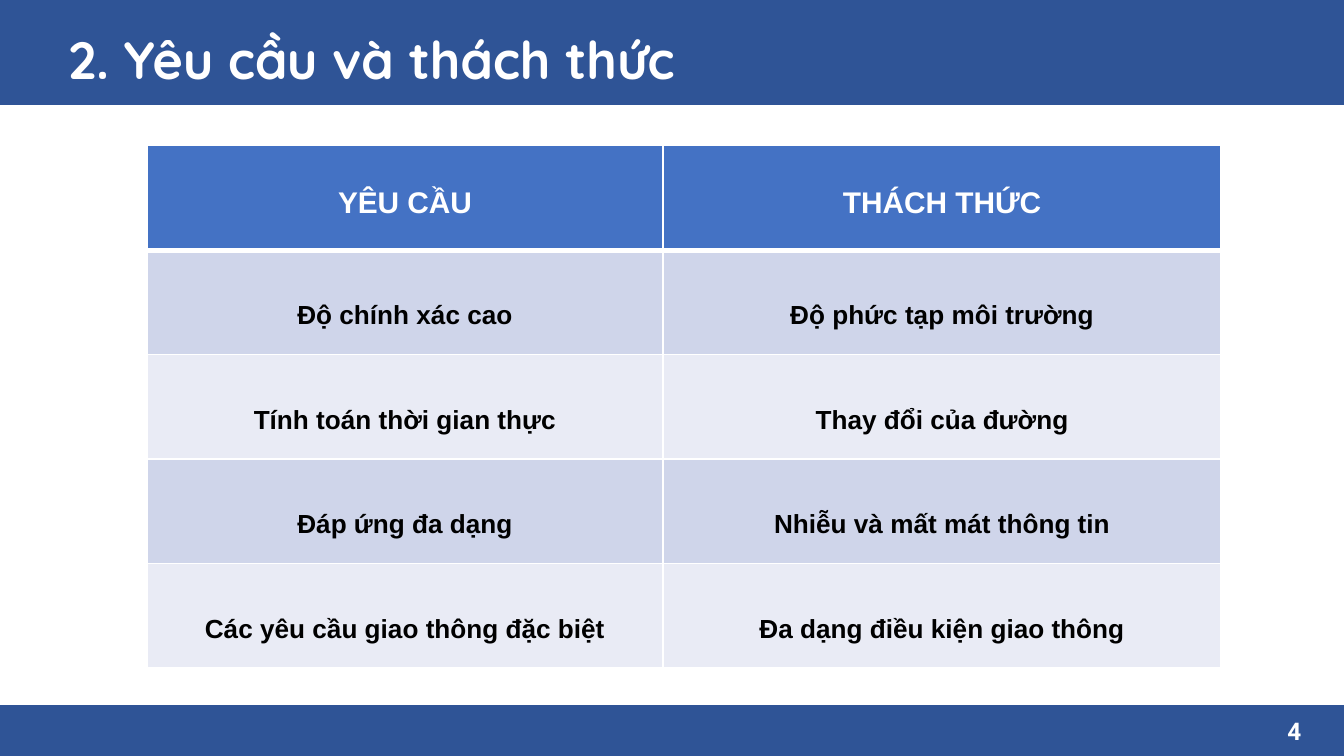
import pptx
import pptx.dml.color
import pptx.enum.shapes
import pptx.enum.text
import pptx.oxml
import pptx.oxml.ns
import pptx.util

Pt = pptx.util.Pt
Align = pptx.enum.text.PP_ALIGN
Anchor = pptx.enum.text.MSO_ANCHOR


class Theme:
    navy, blue, white, black = "2F5496", "4472C4", "FFFFFF", "000000"
    bands = ("CFD5EA", "E9EBF5")
    title, head, body, page = 28, 16, 14, 13


def color(code):
    return pptx.dml.color.RGBColor.from_string(code)


class Deck:
    def __init__(self, theme, slide):
        self.theme, self.slide = theme, slide

    def bar(self, top, height):
        bar = self.slide.shapes.add_shape(
            pptx.enum.shapes.MSO_SHAPE.RECTANGLE, 0, Pt(top), Pt(720), Pt(height))
        bar.shadow.inherit = False
        bar.fill.solid()
        bar.fill.fore_color.rgb = color(self.theme.navy)
        bar.line.color.rgb = color(self.theme.navy)
        bar.line.width = Pt(1)

    def words(self, frame, text, size, font, tint, align, space=None):
        frame.text = text
        para = frame.paragraphs[0]
        para.alignment = align
        para.line_spacing = space
        style = para.runs[0].font
        style.name, style.size, style.bold = font, Pt(size), True
        style.color.rgb = color(tint)

    def label(self, box, text, size, font, align, space=None, inset=5):
        shape = self.slide.shapes.add_textbox(*map(Pt, box))
        frame = shape.text_frame
        frame.word_wrap = True
        frame.vertical_anchor = Anchor.MIDDLE
        frame.margin_left, frame.margin_right = Pt(inset), Pt(5)
        frame.margin_top = frame.margin_bottom = Pt(3)
        self.words(frame, text, size, font, self.theme.white, align, space)

    def border(self, cell, base):
        props = cell._tc.get_or_add_tcPr()
        for side, width in zip("LRTB", (1, 1, 1, base)):
            props.append(pptx.oxml.parse_xml(
                f'<a:ln{side} {pptx.oxml.ns.nsdecls("a")} w="{Pt(width)}">'
                f'<a:solidFill><a:srgbClr val="{self.theme.white}"/></a:solidFill>'
                f'</a:ln{side}>'))

    def table(self, left, top, widths, height, rows):
        theme = self.theme
        grid = self.slide.shapes.add_table(
            len(rows), len(widths), Pt(left), Pt(top),
            Pt(sum(widths)), Pt(height * len(rows))).table
        for col, width in zip(grid.columns, widths):
            col.width = Pt(width)
        for i, row in enumerate(rows):
            head = i == 0
            size, tint, space = ((theme.head, theme.white, None) if head
                                 else (theme.body, theme.black, 2.5))
            for j, text in enumerate(row):
                cell = grid.cell(i, j)
                self.border(cell, 3 if head else 1)
                cell.fill.solid()
                cell.fill.fore_color.rgb = color(
                    theme.blue if head else theme.bands[(i - 1) % 2])
                if head:
                    cell.margin_top = Pt(22)
                self.words(cell.text_frame, text, size, "Arial", tint,
                           Align.CENTER, space)


def main():
    show = pptx.Presentation()
    show.slide_width, show.slide_height = Pt(720), Pt(405)
    theme = Theme()
    deck = Deck(theme, show.slides.add_slide(show.slide_layouts[6]))

    # Footer and header bars
    deck.bar(378, 27)
    deck.bar(0, 56)

    # Title
    deck.label((0, 0, 720, 56), "2. Yêu cầu và thách thức", theme.title,
               "Quicksand", Align.LEFT, space=1.2, inset=36.5)

    # Requirements against challenges
    deck.table(78.75, 78, (276.5, 299), 56, [
        ("YÊU CẦU", "THÁCH THỨC"),
        ("Độ chính xác cao", "Độ phức tạp môi trường"),
        ("Tính toán thời gian thực", "Thay đổi của đường"),
        ("Đáp ứng đa dạng", "Nhiễu và mất mát thông tin"),
        ("Các yêu cầu giao thông đặc biệt", "Đa dạng điều kiện giao thông"),
    ])

    # Page number
    deck.label((581, 381, 121, 21.5), "4", theme.page, "Roboto", Align.RIGHT)

    show.save("out.pptx")


if __name__ == "__main__":
    main()
